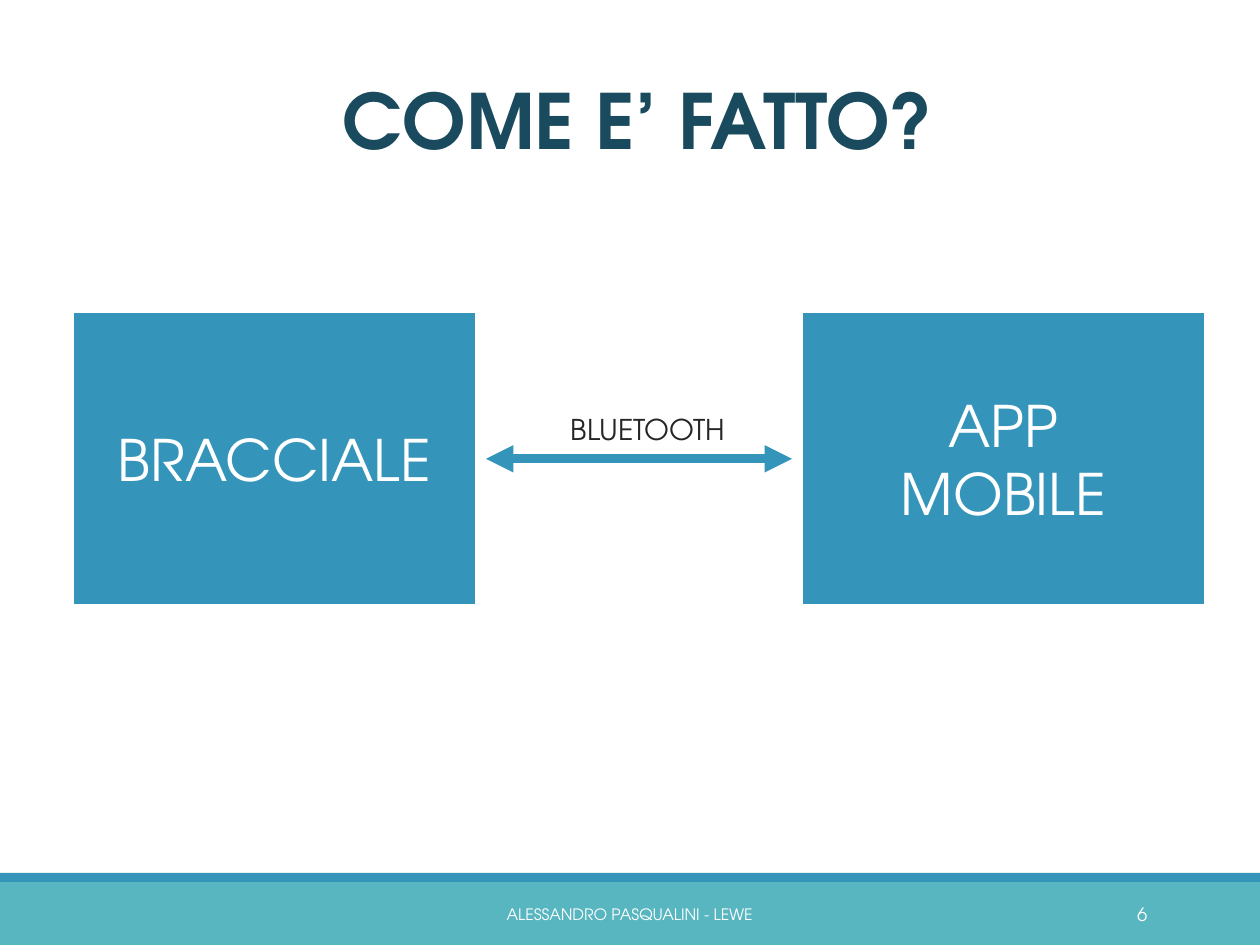
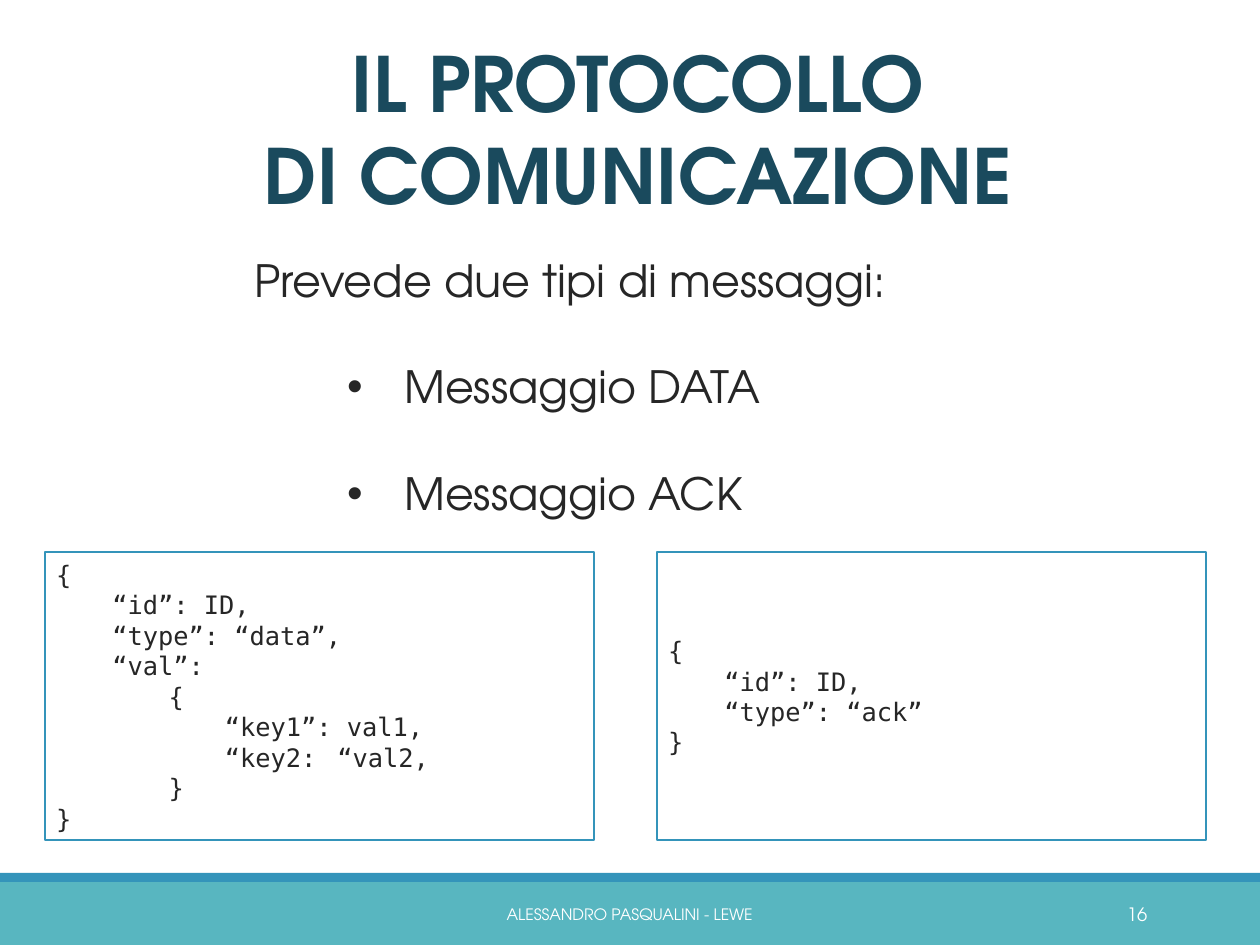
"""Builds two slides on the bracelet, its app and their message protocol."""
from lxml.etree import SubElement
from pptx import Presentation
from pptx.dml.color import RGBColor
from pptx.enum.shapes import MSO_CONNECTOR as Connector, MSO_SHAPE as Shape
from pptx.enum.text import MSO_ANCHOR as Anchor, MSO_AUTO_SIZE as AutoSize, PP_ALIGN as Align
from pptx.oxml.ns import qn
from pptx.util import Cm, Pt

WIDTH, HEIGHT = 28, 21
BLUE, TEAL, NAVY, DARK, WHITE = "3494BA", "58B6C0", "1A4A5D", "262626", "FFFFFF"
SANS, MONO = "TeX Gyre Adventor", "DejaVu Sans Mono"
TITLE_ONLY, TITLE_AND_BODY = 5, 1
TAB_WIDTH, TAB_COUNT = 1.25, 5
BODY_SIZE = 28

BANDS = [(19.6, 1.4, TEAL), (19.4, 0.2, BLUE)]
FOOTER = "ALESSANDRO PASQUALINI - LEWE"

DEVICES = [(1.6, "BRACCIALE"), (17.8, "APP\nMOBILE")]
DEVICE_TOP, DEVICE_WIDTH, DEVICE_HEIGHT, ARROW_GAP = 6.93, 9, 6.53, 0.2

INTRO = "Prevede due tipi di messaggi:"
MESSAGES = ["Messaggio DATA", "Messaggio ACK"]
CODE_SAMPLES = [
    """{
\t“id”: ID,
\t“type”: “data”,
\t“val”:
\t\t{
\t\t\t“key1”: val1,
\t\t\t“key2:\t“val2,
\t\t}
}""",
    """{
\t“id”: ID,
\t“type”: “ack”
}""",
]
CODE_LEFT, CODE_TOP, CODE_WIDTH, CODE_HEIGHT, CODE_STEP = 1, 12.27, 12.2, 6.4, 13.6


def rgb(value):
    """Turn a hex string into a colour."""
    return RGBColor.from_string(value)


def write(shape, text, size, color, align=Align.LEFT, anchor=Anchor.TOP,
          font=SANS, bold=False, spacing=1.0):
    """Fill a shape with text and format each paragraph and run."""
    frame = shape.text_frame
    frame.text = text
    frame.word_wrap = True
    frame.auto_size = AutoSize.NONE
    frame.vertical_anchor = anchor
    for paragraph in frame.paragraphs:
        paragraph.alignment = align
        paragraph.line_spacing = spacing
        paragraph.space_before = Pt(0)
        for run in paragraph.runs:
            run.font.name = font
            run.font.size = Pt(size)
            run.font.bold = bold
            run.font.color.rgb = rgb(color)


def move(shape, left, top, width, height):
    """Place a placeholder, in centimetres."""
    shape.left, shape.top = Cm(left), Cm(top)
    shape.width, shape.height = Cm(width), Cm(height)


def add_box(slide, left, top, width, height, fill, line=None, line_width=1):
    """Add a flat rectangle, with an outline if a line colour is given."""
    box = slide.shapes.add_shape(Shape.RECTANGLE, Cm(left), Cm(top), Cm(width), Cm(height))
    box.shadow.inherit = False
    box.fill.solid()
    box.fill.fore_color.rgb = rgb(fill)
    if line:
        box.line.color.rgb = rgb(line)
        box.line.width = Pt(line_width)
    else:
        box.line.fill.background()
    return box


def add_label(slide, left, top, width, height, text, size, color, **style):
    """Add a text box."""
    label = slide.shapes.add_textbox(Cm(left), Cm(top), Cm(width), Cm(height))
    write(label, text, size, color, **style)


def add_double_arrow(slide, start, end, y):
    """Add a thick horizontal line with a head at both ends."""
    arrow = slide.shapes.add_connector(Connector.STRAIGHT, Cm(start), Cm(y), Cm(end), Cm(y))
    arrow.line.color.rgb = rgb(BLUE)
    arrow.line.width = Pt(5.75)
    line = arrow.line._get_or_add_ln()
    for tag in ("a:headEnd", "a:tailEnd"):
        SubElement(line, qn(tag), type="triangle")
    SubElement(arrow._element.spPr, qn("a:effectLst"))


def set_indent(paragraph, margin, hanging=0, bullet=None):
    """Set the indents and the bullet of a paragraph."""
    properties = paragraph._p.get_or_add_pPr()
    properties.set("marL", str(Cm(margin)))
    properties.set("indent", str(-Cm(hanging)))
    if bullet:
        SubElement(properties, qn("a:buFont"), typeface="Arial")
        SubElement(properties, qn("a:buChar"), char=bullet)
    else:
        SubElement(properties, qn("a:buNone"))


def set_tabs(paragraph):
    """Give a paragraph evenly spaced tab stops."""
    stops = SubElement(paragraph._p.get_or_add_pPr(), qn("a:tabLst"))
    for index in range(1, TAB_COUNT + 1):
        SubElement(stops, qn("a:tab"), pos=str(Cm(index * TAB_WIDTH)), algn="l")


def add_slide(presentation, layout, title, title_top, title_height, number):
    """Add a slide with the shared bands, footer and title style."""
    slide = presentation.slides.add_slide(presentation.slide_layouts[layout])
    for top, height, color in BANDS:
        add_box(slide, 0, top, WIDTH, height, color)
    footer_style = dict(anchor=Anchor.MIDDLE, spacing=0.93)
    add_label(slide, 8.46, 19.79, 11.07, 1.12, FOOTER, 9.9, WHITE,
              align=Align.CENTER, **footer_style)
    add_label(slide, 22.73, 19.79, 3.02, 1.12, str(number), 11.6, WHITE,
              align=Align.RIGHT, **footer_style)
    move(slide.shapes.title, 0.08, title_top, 28.2, title_height)
    write(slide.shapes.title, title, 48, NAVY, align=Align.CENTER, bold=True)
    return slide


def build_structure(presentation):
    """Build the slide with the two linked devices."""
    slide = add_slide(presentation, TITLE_ONLY, "COME E’ FATTO?", 1.5, 2.31, 6)
    for left, name in DEVICES:
        box = add_box(slide, left, DEVICE_TOP, DEVICE_WIDTH, DEVICE_HEIGHT, BLUE, WHITE, 2)
        write(box, name, 36, WHITE, align=Align.CENTER, anchor=Anchor.MIDDLE)
    start = DEVICES[0][0] + DEVICE_WIDTH + ARROW_GAP
    end = DEVICES[1][0] - ARROW_GAP
    add_double_arrow(slide, start, end, DEVICE_TOP + DEVICE_HEIGHT / 2)
    add_label(slide, 11.6, 9.04, 5.6, 1.02, "BLUETOOTH", 18, DARK, align=Align.CENTER)


def build_protocol(presentation):
    """Build the slide with the message types and their code."""
    slide = add_slide(presentation, TITLE_AND_BODY, "IL PROTOCOLLO\nDI COMUNICAZIONE",
                      0.69, 4.37, 16)
    body = slide.placeholders[1]
    move(body, 5.4, 5.49, 22.2, 6.25)
    write(body, "\n".join([INTRO, *MESSAGES]), BODY_SIZE, DARK)
    intro, *messages = body.text_frame.paragraphs
    set_indent(intro, 0)
    for paragraph in messages:
        paragraph.level = 1
        paragraph.space_before = Pt(BODY_SIZE * 1.2)
        set_indent(paragraph, 3.33, 1.27, "•")
    for index, code in enumerate(CODE_SAMPLES):
        box = add_box(slide, CODE_LEFT + index * CODE_STEP, CODE_TOP, CODE_WIDTH, CODE_HEIGHT,
                      WHITE, BLUE, 1.25)
        write(box, code, 16, DARK, anchor=Anchor.MIDDLE, font=MONO)
        for paragraph in box.text_frame.paragraphs:
            set_tabs(paragraph)


def main():
    """Build and save the presentation."""
    presentation = Presentation()
    presentation.slide_width, presentation.slide_height = Cm(WIDTH), Cm(HEIGHT)
    build_structure(presentation)
    build_protocol(presentation)
    presentation.save("out.pptx")


if __name__ == "__main__":
    main()
